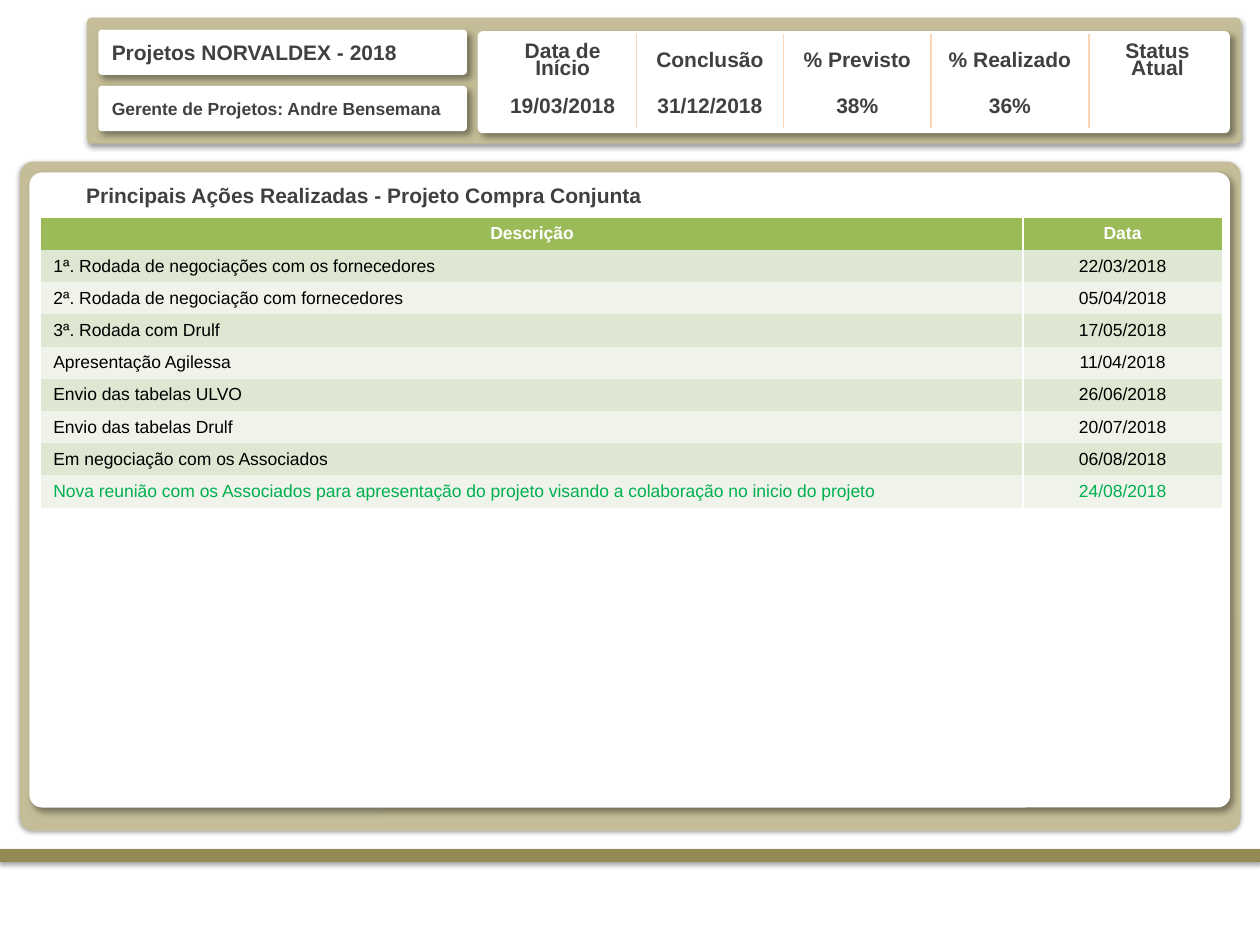
"""Build a project status slide with a header band and an action table."""
from pptx import Presentation, oxml
from pptx.dml.color import RGBColor
from pptx.enum import shapes, text
from pptx.oxml import ns
from pptx.util import Pt

DARK, WHITE, SAND, PEACH = "404040", "FFFFFF", "C4BD97", "FCD5B5"
SOFT = (3.1, 1.6, 90, 38)
DEEP = (4, 3, 45, 40)
MID = text.MSO_ANCHOR.MIDDLE
LEFT, CENTER = text.PP_ALIGN.LEFT, text.PP_ALIGN.CENTER
NO_STYLE = "{2D5ABB26-0587-4C30-8999-92F81FD0307C}"

FACTS = [
    ["Data de\nInício", "Conclusão", "% Previsto", "% Realizado", "Status\nAtual"],
    ["19/03/2018", "31/12/2018", "38%", "36%", ""],
]
ACTIONS = [
    ("Descrição", "Data"),
    ("1ª. Rodada de negociações com os fornecedores", "22/03/2018"),
    ("2ª. Rodada de negociação com fornecedores", "05/04/2018"),
    ("3ª. Rodada com Drulf", "17/05/2018"),
    ("Apresentação Agilessa", "11/04/2018"),
    ("Envio das tabelas ULVO", "26/06/2018"),
    ("Envio das tabelas Drulf", "20/07/2018"),
    ("Em negociação com os Associados", "06/08/2018"),
    ("Nova reunião com os Associados para apresentação do projeto "
     "visando a colaboração no inicio do projeto", "24/08/2018"),
]


def rgb(code):
    """Turn a hex string into a colour."""
    return RGBColor.from_string(code)


def write(frame, words, size=12, color=DARK, bold=True, align=LEFT, gap=None):
    """Fill a text frame, one paragraph for each line of words."""
    for i, line in enumerate(words.split("\n")):
        para = frame.add_paragraph() if i else frame.paragraphs[0]
        para.alignment = align
        para.line_spacing = gap
        if not line:
            end = oxml.parse_xml(
                f'<a:endParaRPr {ns.nsdecls("a")} sz="{size * 100}"/>')
            para._p.append(end)
            continue
        run = para.add_run()
        run.text = line
        font = run.font
        font.name, font.size, font.bold = "Arial", Pt(size), bold
        font.color.rgb = rgb(color)


def panel(slide, box, fill, round, shade):
    """Add a rounded panel with an outer shadow and return it."""
    shape = slide.shapes.add_shape(
        shapes.MSO_SHAPE.ROUNDED_RECTANGLE, *map(Pt, box))
    shape.adjustments[0] = round
    shape.fill.solid()
    shape.fill.fore_color.rgb = rgb(fill)
    shape.line.fill.background()
    blur, dist, turn, alpha = shade
    shape._element.spPr.append(oxml.parse_xml(
        f'<a:effectLst {ns.nsdecls("a")}><a:outerShdw blurRad="{Pt(blur)}" '
        f'dist="{Pt(dist)}" dir="{turn * 60000}" algn="ctr" rotWithShape="0">'
        f'<a:srgbClr val="000000"><a:alpha val="{alpha * 1000}"/></a:srgbClr>'
        '</a:outerShdw></a:effectLst>'))
    shape.text_frame.word_wrap = True
    return shape


def label(slide, box, words, size):
    """Add a white header label."""
    frame = panel(slide, box, WHITE, 0.08, DEEP).text_frame
    frame.vertical_anchor = MID
    write(frame, words, size=size)


def edge(cell, side, color):
    """Draw a one-point border on side L or R of a cell."""
    cell._tc.get_or_add_tcPr().insert(0, oxml.parse_xml(
        f'<a:ln{side} {ns.nsdecls("a")} w="{Pt(1)}"><a:solidFill>'
        f'<a:srgbClr val="{color}"/></a:solidFill></a:ln{side}>'))


def grid(slide, left, top, cols, rows, rule):
    """Add an unstyled table with inner vertical rules."""
    table = slide.shapes.add_table(
        len(rows), len(cols), Pt(left), Pt(top),
        Pt(sum(cols)), Pt(sum(rows))).table
    table.first_row = table.horz_banding = False
    table._tbl.tblPr[0].text = NO_STYLE
    for col, width in zip(table.columns, cols):
        col.width = Pt(width)
    for row, height in zip(table.rows, rows):
        row.height = Pt(height)
        cells = list(row.cells)
        for cell in cells:
            cell.vertical_anchor = MID
        for one, two in zip(cells, cells[1:]):
            edge(one, "R", rule)
        for cell in cells[1:]:
            edge(cell, "L", rule)
    return table


def facts(slide):
    """Add the table of key project facts."""
    table = grid(slide, 279.4, 19.4, [84.2, 84.2, 84.2, 90.3, 78.3],
                 [31.9, 19.4], PEACH)
    for r, (row, gap) in enumerate(zip(FACTS, (0.75, 0.65))):
        for c, words in enumerate(row):
            write(table.cell(r, c).text_frame, words, align=CENTER, gap=gap)


def actions(slide):
    """Add the banded table of actions and dates."""
    table = grid(slide, 23.3, 124.5, [561.4, 113.6],
                 [18.4] * len(ACTIONS), WHITE)
    last = len(ACTIONS) - 1
    for r, row in enumerate(ACTIONS):
        head = r == 0
        band = "9BBB59" if head else "DEE7D1" if r % 2 else "EFF3EA"
        ink = WHITE if head else "00B050" if r == last else "000000"
        for c, words in enumerate(row):
            cell = table.cell(r, c)
            cell.fill.solid()
            cell.fill.fore_color.rgb = rgb(band)
            write(cell.text_frame, words, size=10, color=ink, bold=head,
                  align=CENTER if head or c else LEFT)


def main():
    """Build and save the slide."""
    deck = Presentation()
    deck.slide_width, deck.slide_height = Pt(720), Pt(540)
    slide = deck.slides.add_slide(deck.slide_layouts[6])
    panel(slide, (0, 485.3, 720, 7.2), "948A54", 0, SOFT)
    panel(slide, (49.7, 10.1, 659.5, 72), SAND, 0.04, SOFT)
    label(slide, (56.2, 16.9, 210.6, 25.9), "Projetos NORVALDEX - 2018", 12)
    label(slide, (56.2, 49.1, 210.6, 25.9),
          "Gerente de Projetos: Andre Bensemana", 10)
    panel(slide, (273, 17.8, 429.8, 58.3), WHITE, 0.05, DEEP)
    facts(slide)
    panel(slide, (11.5, 92.4, 697.4, 382.3), SAND, 0.02, SOFT)
    body = panel(slide, (16.8, 98.6, 686.2, 362.9), WHITE, 0.02, DEEP)
    frame = body.text_frame
    frame.vertical_anchor = text.MSO_ANCHOR.TOP
    frame.margin_left = Pt(30.4)
    write(frame, "Principais Ações Realizadas - Projeto Compra Conjunta")
    actions(slide)
    deck.save("out.pptx")


if __name__ == "__main__":
    main()
